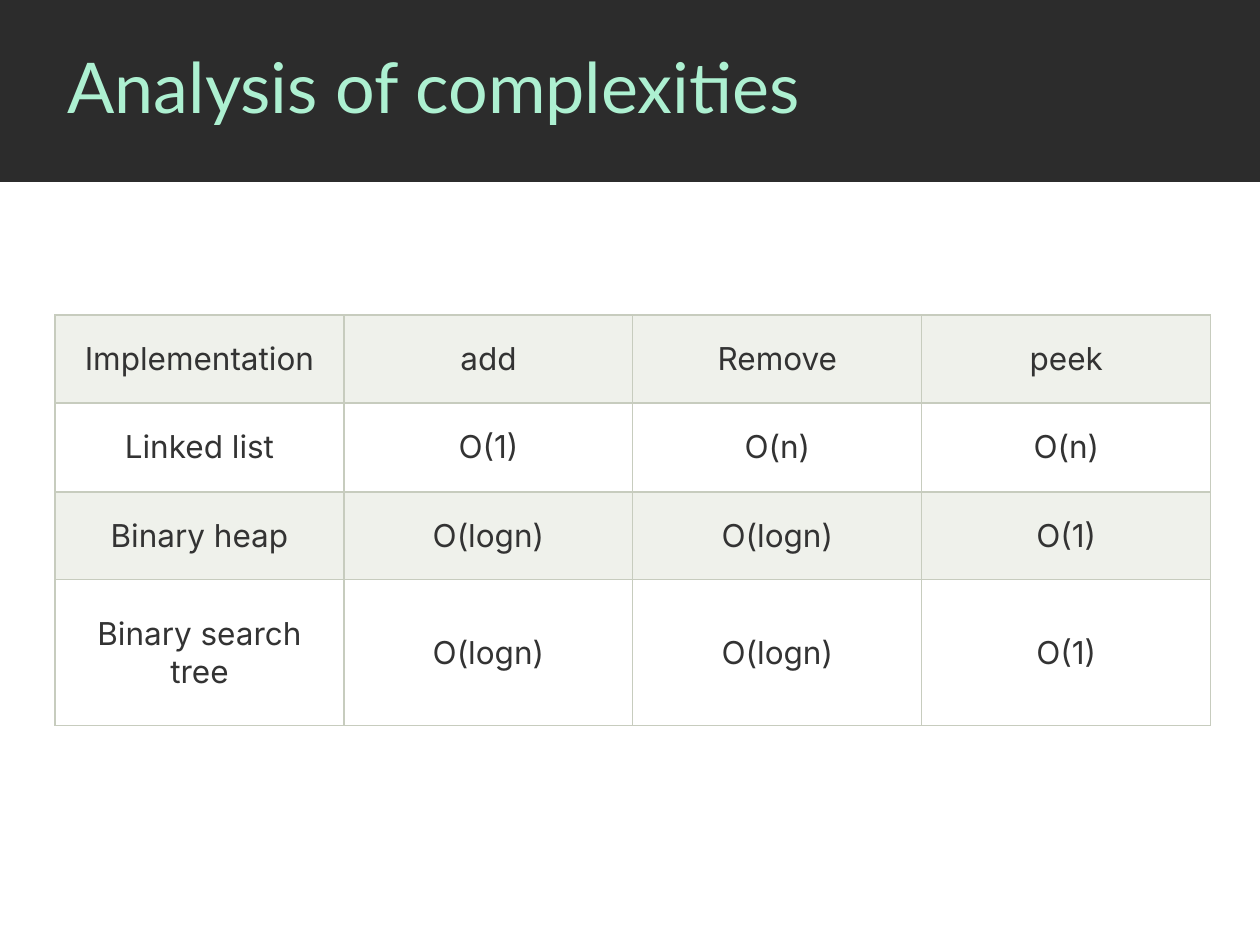
from lxml import etree
from pptx import Presentation
from pptx import util as u
from pptx.dml.color import RGBColor
from pptx.enum import shapes, text
from pptx.oxml import ns

PX = 914400 // 126  # EMU per px
DARK = RGBColor(0x2C, 0x2C, 0x2C)
MINT = RGBColor(0xAD, 0xF0, 0xD1)
INK = RGBColor(0x33, 0x33, 0x33)
SAGE = RGBColor(0xEF, 0xF1, 0xEB)
WHITE = RGBColor(0xFF, 0xFF, 0xFF)
RULE = RGBColor(0xC7, 0xCC, 0xBE)

COMPLEXITIES = [
    ["Implementation", "add", "Remove", "peek"],
    ["Linked list", "O(1)", "O(n)", "O(n)"],
    ["Binary heap", "O(logn)", "O(logn)", "O(1)"],
    ["Binary search tree", "O(logn)", "O(logn)", "O(1)"],
]
ROW_HEIGHTS = [88, 89, 88, 146]


def px(*lengths):
    return [u.Emu(n * PX) for n in lengths]


def style_text(p, font, size, color):
    for r in p.runs:
        r.font.name = font
        r.font.size = u.Pt(size)
        r.font.color.rgb = color


def add_header(s, x, y, w, h):
    # Dark band, placed behind the title
    band = s.shapes.add_shape(shapes.MSO_SHAPE.RECTANGLE, *px(x, y, w, h))
    band.shadow.inherit = False
    band.fill.solid()
    band.fill.fore_color.rgb = DARK
    band.line.fill.background()
    title = s.shapes.title
    title.element.addprevious(band.element)

    # Title
    indent = 55
    title.left, title.top, title.width, title.height = px(x + indent, y, w - indent, h - 1)
    tf = title.text_frame
    tf.text = "Analysis of complexities"
    tf.vertical_anchor = text.MSO_ANCHOR.MIDDLE
    p = tf.paragraphs[0]
    p.alignment = text.PP_ALIGN.LEFT
    p.line_spacing = 0.9
    style_text(p, "Lato", 40, MINT)


def set_borders(cell):
    tc_pr = cell._tc.get_or_add_tcPr()
    for i, side in enumerate(("lnL", "lnR", "lnT", "lnB")):
        ln = etree.Element(ns.qn(f"a:{side}"), w=str(u.Pt(0.75)))
        fill = etree.SubElement(ln, ns.qn("a:solidFill"))
        etree.SubElement(fill, ns.qn("a:srgbClr"), val=str(RULE))
        tc_pr.insert(i, ln)


def style_cell(cell, value, fill):
    cell.text = value
    cell.vertical_anchor = text.MSO_ANCHOR.MIDDLE
    inset, = px(10)
    cell.margin_left = cell.margin_right = inset
    cell.margin_top = cell.margin_bottom = inset
    p = cell.text_frame.paragraphs[0]
    p.alignment = text.PP_ALIGN.CENTER
    style_text(p, "Inter", 18, INK)
    cell.fill.solid()
    cell.fill.fore_color.rgb = fill
    set_borders(cell)


def add_complexity_table(s, x, y, w, h):
    n_cols = len(COMPLEXITIES[0])
    frame = s.shapes.add_table(len(COMPLEXITIES), n_cols, *px(x, y, w, h))
    table = frame.table
    for col in table.columns:
        col.width, = px(w // n_cols)
    for i, (values, height) in enumerate(zip(COMPLEXITIES, ROW_HEIGHTS)):
        table.rows[i].height, = px(height)
        for j, value in enumerate(values):
            style_cell(table.cell(i, j), value, WHITE if i % 2 else SAGE)


def main():
    prs = Presentation()
    prs.slide_width, prs.slide_height = u.Inches(10), u.Inches(7.5)
    s = prs.slides.add_slide(prs.slide_layouts[5])  # title only
    s.background.fill.solid()
    s.background.fill.fore_color.rgb = WHITE
    add_header(s, 0, 0, 1260, 182)
    add_complexity_table(s, 55, 315, 1156, sum(ROW_HEIGHTS))
    prs.save("out.pptx")


if __name__ == "__main__":
    main()
